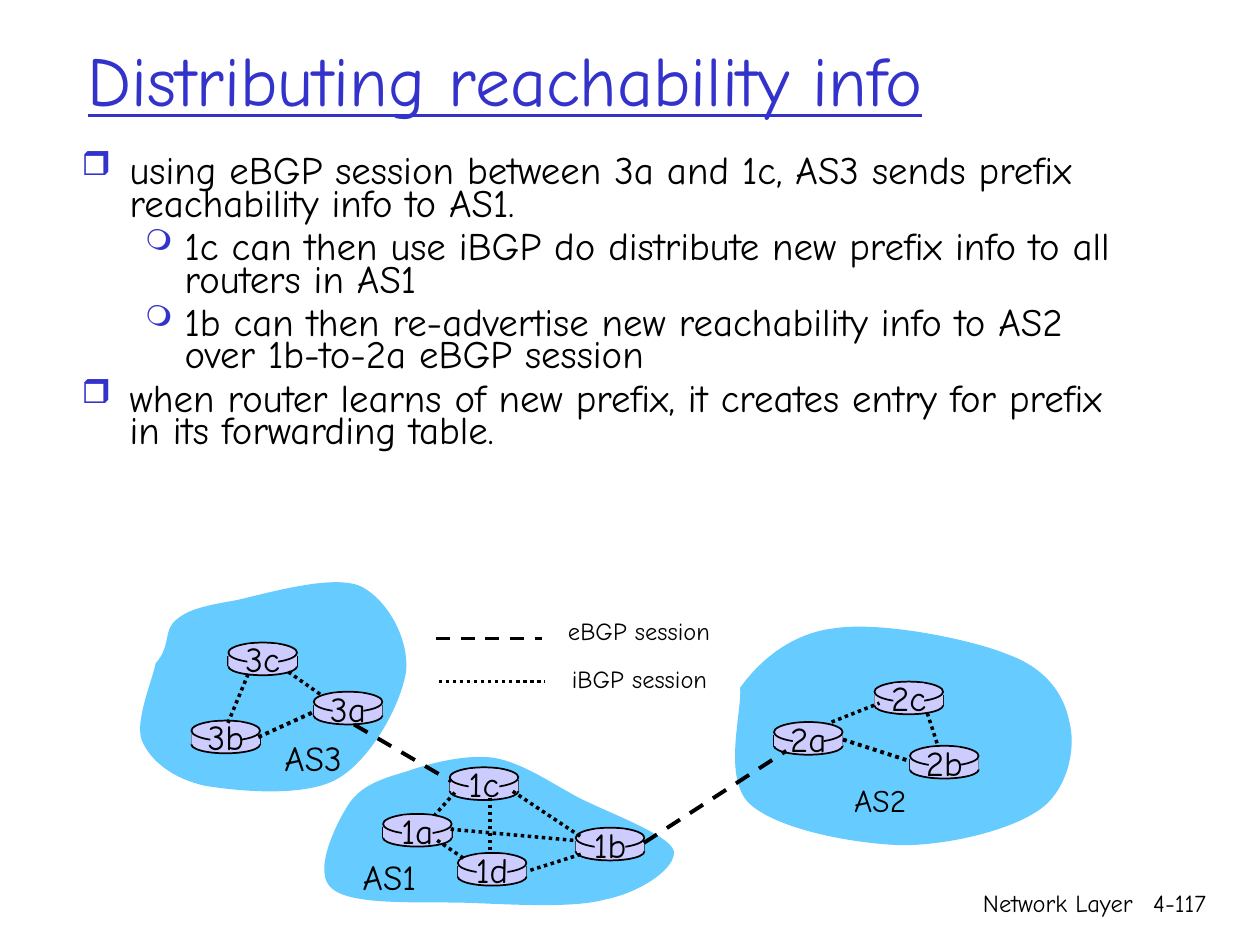
from lxml import etree
from pptx import Presentation
from pptx.dml.color import RGBColor
from pptx.enum.dml import MSO_LINE
from pptx.enum.shapes import MSO_CONNECTOR, MSO_SHAPE
from pptx.enum.text import MSO_ANCHOR, MSO_AUTO_SIZE, PP_ALIGN
from pptx.oxml.ns import qn
from pptx.util import Pt

LEFT, CENTER, RIGHT = PP_ALIGN.LEFT, PP_ALIGN.CENTER, PP_ALIGN.RIGHT
MIDDLE = MSO_ANCHOR.MIDDLE
GROW, FIXED = MSO_AUTO_SIZE.SHAPE_TO_FIT_TEXT, MSO_AUTO_SIZE.NONE
OVAL, RECTANGLE = MSO_SHAPE.OVAL, MSO_SHAPE.RECTANGLE
STRAIGHT = MSO_CONNECTOR.STRAIGHT
DASH, DOTS = MSO_LINE.DASH, MSO_LINE.ROUND_DOT

FONT = "Comic Neue"
BLACK, BLUE, SKY, LILAC = "000000", "3333CC", "66CCFF", "CCCCFF"
ROUTER_WIDTH = 39.2
LABEL_WIDTH = 38

BULLETS = [
    (0, "using eBGP session between 3a and 1c, AS3 sends prefix reachability info to AS1."),
    (1, "1c can then use iBGP do distribute new prefix info to all routers in AS1"),
    (1, "1b can then re-advertise new reachability info to AS2 over 1b-to-2a eBGP session"),
    (0, "when router learns of new prefix, it creates entry for prefix in its forwarding table."),
]
BULLET_STYLES = [("❒", 85, 27.4, -27.4), ("❍", 75, 58.8, -22.5)]

AS2_CLOUD = [
    (423, 393), (433, 379), (451, 362), (477, 359), (503, 355), (554, 365), (576, 374),
    (598, 382), (608, 397), (611, 412), (615, 426), (611, 450), (595, 462),
    (579, 474), (543, 483), (515, 483), (487, 482), (444, 474), (428, 459),
    (413, 444), (424, 407), (423, 393),
]
AS3_CLOUD = [
    (89, 379), (98, 369), (93, 360), (101, 354), (108, 348), (118, 346), (135, 343),
    (153, 339), (190, 328), (206, 335), (222, 343), (234, 366), (232, 384),
    (229, 403), (212, 434), (193, 445), (174, 456), (135, 452), (117, 449),
    (99, 445), (86, 435), (81, 423), (77, 412), (87, 389), (89, 379),
]
AS1_CLOUD = [
    (199, 460), (206, 449), (218, 445), (232, 441), (246, 436), (266, 431), (282, 433),
    (299, 436), (314, 447), (331, 456), (349, 465), (382, 477), (385, 486),
    (387, 496), (366, 510), (346, 514), (328, 519), (295, 517), (269, 516),
    (243, 515), (202, 518), (190, 508), (178, 499), (192, 471), (199, 460),
]

ROUTERS = {
    "3b": (109.4, 411.8), "1d": (261.6, 487.4), "3a": (179.3, 395.3),
    "1c": (257, 438.5), "2a": (442.3, 412.6), "1a": (218.9, 465.1),
    "2c": (499.7, 389.5), "2b": (520, 426.2), "1b": (329, 473),
    "3c": (130.5, 367.2),
}

SESSIONS = [
    ((481.7, 422.6), (519.8, 434.9), 2.25, DOTS),
    ((147.6, 421.2), (179.3, 406.8), 2.25, DOTS),
    ((202.3, 414), (257.8, 446.4), 2.25, DASH),
    ((367.9, 481.7), (449.3, 429.1), 2.25, DASH),
    ((259.9, 452.9), (248.4, 465.8), 2, DOTS),
    ((280.1, 455.8), (280.1, 486.7), 2, DOTS),
    ((293, 452.2), (331.9, 478.1), 2, DOTS),
    ((331.9, 488.2), (302.4, 497.5), 2, DOTS),
    ((327.6, 480.2), (257, 473.8), 2, DOTS),
    ((475.2, 412.6), (502.6, 401.8), 2, DOTS),
    ((182.9, 396.7), (163.4, 383), 2, DOTS),
    ((141.8, 385.2), (129.6, 414.7), 2, DOTS),
    ((529.9, 407.5), (535.7, 425.5), 2, DOTS),
    ((249.8, 480.2), (265.7, 491), 2, DOTS),
    ((249.1, 365), (309.6, 365), 2, DASH),
    ((250.6, 389.5), (311, 389.5), 2, DOTS),
]

LABELS = [
    ("AS3", (155.5, 417.6, 50, 31.7), 20),
    ("AS1", (200.2, 485.3, 50, 31.7), 20),
    ("AS2", (481, 442.8, 48, 28.8), 18),
    ("eBGP session", (317.5, 348.5, 100, 24.5), 14),
    ("iBGP session", (319.7, 375.8, 100, 24.5), 14),
]


def color(value):
    """Turn a hex string into a colour."""
    return RGBColor.from_string(value)


def style_paragraph(paragraph, size, font_color=BLACK, align=LEFT, underline=None):
    """Set the font and alignment of a paragraph and its runs."""
    paragraph.alignment = align
    for run in paragraph.runs:
        run.font.name = FONT
        run.font.size = Pt(size)
        run.font.color.rgb = color(font_color)
        run.font.underline = underline


def add_text(slide, text, box, size, align=LEFT, wrap=False, font_color=BLACK, underline=None):
    """Add a one-paragraph text box, growing unless it wraps, and return its text frame."""
    text_frame = slide.shapes.add_textbox(*map(Pt, box)).text_frame
    text_frame.word_wrap = wrap
    text_frame.auto_size = FIXED if wrap else GROW
    text_frame.text = text
    style_paragraph(text_frame.paragraphs[0], size, font_color, align, underline)
    return text_frame


def add_bullet(paragraph, character, percent, margin, indent):
    """Give a paragraph a coloured bullet and a hanging indent."""
    properties = paragraph._p.get_or_add_pPr()
    properties.set("marL", str(Pt(margin)))
    properties.set("indent", str(Pt(indent)))
    bullet_color = etree.SubElement(properties, qn("a:buClr"))
    etree.SubElement(bullet_color, qn("a:srgbClr"), val=BLUE)
    etree.SubElement(properties, qn("a:buSzPct"), val=str(percent * 1000))
    etree.SubElement(properties, qn("a:buChar"), char=character)


def add_body(slide):
    """Add the bulleted list."""
    text_frame = slide.shapes.add_textbox(Pt(39.6), Pt(87.1), Pt(612), Pt(186.5)).text_frame
    text_frame.word_wrap = True
    text_frame.text = "\n".join(text for level, text in BULLETS)
    for index, paragraph in enumerate(text_frame.paragraphs):
        level = BULLETS[index][0]
        paragraph.level = level
        add_bullet(paragraph, *BULLET_STYLES[level])
        paragraph.line_spacing = 0.7
        paragraph.space_before = Pt(6 if index else 0)
        style_paragraph(paragraph, 22.2)


def paint(shape, fill, outlined=False):
    """Fill a shape and outline it in black or not at all."""
    shape.shadow.inherit = False
    shape.fill.solid()
    shape.fill.fore_color.rgb = color(fill)
    if outlined:
        shape.line.color.rgb = color(BLACK)
        shape.line.width = Pt(1)
    else:
        shape.line.fill.background()


def add_cloud(slide, points):
    """Add a closed outline of Bezier curves, three points to a curve."""
    builder = slide.shapes.build_freeform(*points[0], scale=Pt(1))
    builder.add_line_segments(points[1:], close=True)
    shape = builder.convert_to_shape()
    segments = list(shape.element.iter(qn("a:lnTo")))
    for start in range(0, len(segments), 3):
        curve = etree.Element(qn("a:cubicBezTo"))
        segments[start].addprevious(curve)
        for segment in segments[start:start + 3]:
            curve.append(segment[0])
            segment.getparent().remove(segment)
    paint(shape, SKY)


def add_line(slide, start, end, width, dash=None):
    """Add a straight black line."""
    connector = slide.shapes.add_connector(STRAIGHT, *map(Pt, start + end))
    connector.line.color.rgb = color(BLACK)
    connector.line.width = Pt(width)
    if dash:
        connector.line.dash_style = dash
    etree.SubElement(connector.element.spPr, qn("a:effectLst"))


def add_part(slide, kind, box, outlined=False):
    """Add one lilac part of a router."""
    paint(slide.shapes.add_shape(kind, *map(Pt, box)), LILAC, outlined)


def add_router(slide, name, left, top):
    """Add a disc-shaped router with its name on it."""
    add_part(slide, OVAL, (left, top + 8.6, ROUTER_WIDTH, 10.1), True)
    for side in (left, left + ROUTER_WIDTH):
        add_line(slide, (side, top + 7.4), (side, top + 13.6), 1)
    add_part(slide, RECTANGLE, (left, top + 7.4, ROUTER_WIDTH, 6.2))
    add_part(slide, OVAL, (left, top, ROUTER_WIDTH, 11.5), True)
    add_part(slide, RECTANGLE, (left + 10.8, top + 1, 17.6, 15))
    label_left = left + (ROUTER_WIDTH - LABEL_WIDTH) / 2
    add_text(slide, name, (label_left, top - 6.2, LABEL_WIDTH, 31.7), 20, CENTER)


def main():
    """Build the slide and save it."""
    presentation = Presentation()
    presentation.slide_width, presentation.slide_height = Pt(720), Pt(540)
    slide = presentation.slides.add_slide(presentation.slide_layouts[6])
    add_text(slide, "Network Layer", (426.2, 504, 228.2, 36), 14, RIGHT, True)
    add_text(slide, "4-117", (643, 504, 53.3, 36), 14, RIGHT, True)
    title = add_text(slide, "Distributing reachability info", (43.2, 0, 612, 90), 40,
                     wrap=True, font_color=BLUE, underline=True)
    title.vertical_anchor = MIDDLE
    add_body(slide)
    for points in (AS2_CLOUD, AS3_CLOUD, AS1_CLOUD):
        add_cloud(slide, points)
    for name, (left, top) in ROUTERS.items():
        add_router(slide, name, left, top)
    for session in SESSIONS:
        add_line(slide, *session)
    for text, box, size in LABELS:
        add_text(slide, text, box, size)
    presentation.save("out.pptx")


if __name__ == "__main__":
    main()
